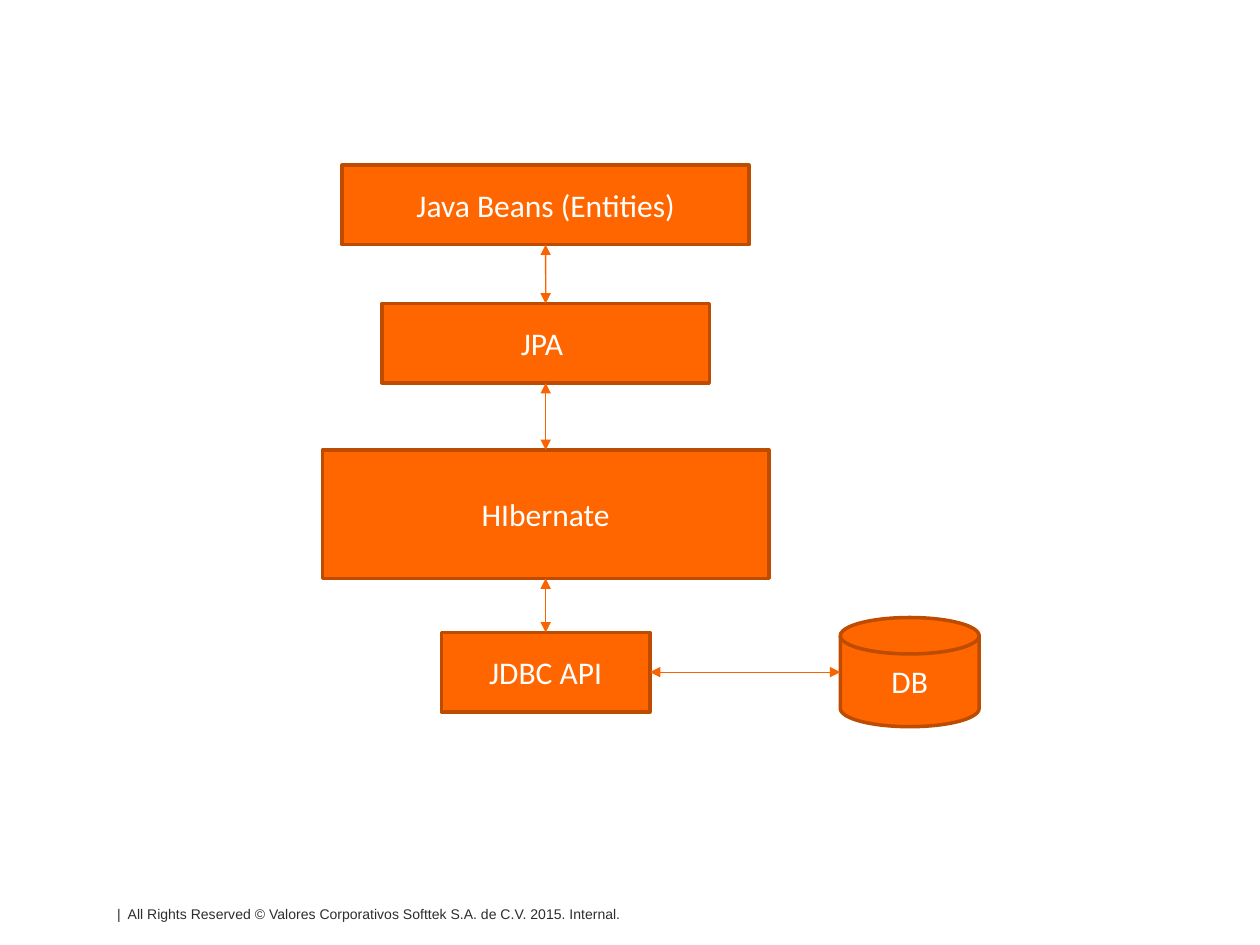
"""Builds a slide showing the layers between Java entities and a database."""
import pptx
import pptx.util
import pptx.dml.color
import pptx.enum.shapes
import pptx.enum.text
import pptx.oxml
import pptx.oxml.ns

Cm = pptx.util.Cm
Pt = pptx.util.Pt
RGBColor = pptx.dml.color.RGBColor
SHAPE = pptx.enum.shapes.MSO_SHAPE
ORANGE = RGBColor(0xFF, 0x66, 0x00)
BORDER = RGBColor(0xBD, 0x4B, 0x00)
ARROW = RGBColor(0xF9, 0x64, 0x00)
WHITE = RGBColor(0xFF, 0xFF, 0xFF)
DARK = RGBColor(0x2B, 0x2D, 0x2E)

CENTER = 11
LAYERS = [
    ("Java Beans (Entities)", 3.33, 8.2, 1.6),
    ("JPA ", 6.12, 6.6, 1.6),
    ("HIbernate", 9.07, 9, 2.59),
    ("JDBC API", 12.75, 4.2, 1.6),
]


def add_block(kind, text, left, top, width, height):
    s = slide.shapes.add_shape(kind, Cm(left), Cm(top), Cm(width), Cm(height))
    s.shadow.inherit = False
    s.fill.solid()
    s.fill.fore_color.rgb = ORANGE
    s.line.color.rgb = BORDER
    s.line.width = Pt(2)
    tf = s.text_frame
    tf.text = text
    tf.vertical_anchor = pptx.enum.text.MSO_ANCHOR.MIDDLE
    p = tf.paragraphs[0]
    p.alignment = pptx.enum.text.PP_ALIGN.CENTER
    r = p.runs[0]
    r.font.name = "Calibri"
    r.font.size = Pt(18)
    r.font.color.rgb = WHITE
    return s


def add_arrow(x1, y1, x2, y2):
    c = slide.shapes.add_connector(
        pptx.enum.shapes.MSO_CONNECTOR.STRAIGHT, x1, y1, x2, y2)
    c.line.color.rgb = ARROW
    c.line.width = Pt(0.75)
    ln = c.line._get_or_add_ln()
    for end in ("a:headEnd", "a:tailEnd"):
        pptx.oxml.ns.qn(end)
        ln.append(pptx.oxml.parse_xml(
            f'<{end} {pptx.oxml.ns.nsdecls("a")} type="triangle"/>'))
    c._element.spPr.append(pptx.oxml.parse_xml(
        f'<a:effectLst {pptx.oxml.ns.nsdecls("a")}/>'))
    return c


prs = pptx.Presentation()
prs.slide_width = Cm(25.4)
prs.slide_height = Cm(19.05)
slide = prs.slides.add_slide(prs.slide_layouts[6])

footer = slide.shapes.add_textbox(Cm(2.11), Cm(18.14), Cm(14.2), Cm(0.41))
tf = footer.text_frame
tf.word_wrap = True
tf.text = "|  All Rights Reserved © Valores Corporativos Softtek S.A. de C.V. 2015. Internal."
r = tf.paragraphs[0].runs[0]
r.font.name = "Arial"
r.font.size = Pt(8)
r.font.color.rgb = DARK

layers = [add_block(SHAPE.RECTANGLE, text, CENTER - width / 2, top, width, height)
          for text, top, width, height in LAYERS]
database = add_block(SHAPE.FLOWCHART_MAGNETIC_DISK, "DB", 16.94, 12.45, 2.8, 2.2)

for upper, lower in zip(layers, layers[1:]):
    c = add_arrow(Cm(CENTER), upper.top + upper.height, Cm(CENTER), lower.top)
    c.begin_connect(upper, 2)
    c.end_connect(lower, 0)

jdbc = layers[-1]
middle = jdbc.top + jdbc.height // 2
c = add_arrow(jdbc.left + jdbc.width, middle, database.left, middle)
c.begin_connect(jdbc, 3)

prs.save("out.pptx")
